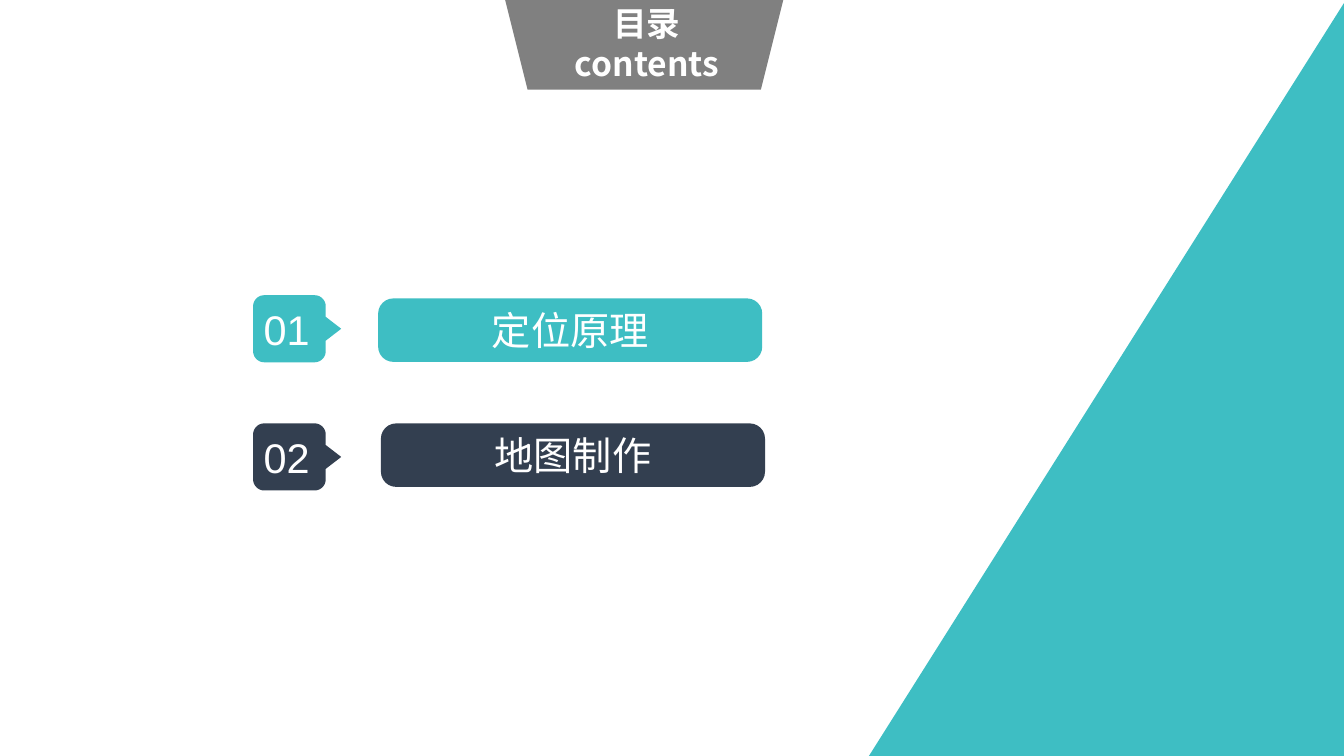
from dataclasses import dataclass
from math import cos, pi, sin

from lxml.etree import SubElement
from pptx import Presentation
from pptx.dml.color import RGBColor as Rgb
from pptx.enum.shapes import MSO_SHAPE as Kind
from pptx.enum.text import MSO_ANCHOR as Anchor, MSO_AUTO_SIZE as Fit, PP_ALIGN as Align
from pptx.oxml.ns import qn
from pptx.shapes.autoshape import Shape
from pptx.shapes.shapetree import SlideShapes as Shapes
from pptx.text.text import TextFrame as Frame
from pptx.util import Cm, Pt


@dataclass(frozen=True)
class Theme:
    teal: Rgb = Rgb(0x3E, 0xBE, 0xC3)
    navy: Rgb = Rgb(0x33, 0x3F, 0x50)
    gray: Rgb = Rgb(0x80, 0x80, 0x80)
    white: Rgb = Rgb(0xFF, 0xFF, 0xFF)
    head: float = 24
    label: float = 28
    number: float = 29.6
    latin: str = "Arial"
    hans: str = "Noto Sans CJK SC"
    hangul: str = "Noto Sans CJK KR"


@dataclass(frozen=True)
class Item:
    number: str
    label: str
    color: Rgb
    tag_top: float
    bar_left: float
    bar_top: float


THEME = Theme()
ITEMS = [
    Item("01", "定位原理", THEME.teal, 7.44, 9.53, 7.52),
    Item("02", "地图制作", THEME.navy, 10.67, 9.6, 10.67),
]
TAG_LEFT, TAG_WIDE, TAG_HIGH = 6.38, 1.83, 1.69
TAG_ROUND, TIP_LONG, TIP_HALF = 0.28, 0.39, 0.3


def paint(shape: Shape, color: Rgb) -> None:
    shape.shadow.inherit = False
    shape.fill.solid()
    shape.fill.fore_color.rgb = color
    shape.line.fill.background()


def write(frame: Frame, text: str, size: float, fonts: list[str], bold: bool = False) -> None:
    """Set centred white text, with one Latin font for each paragraph."""
    frame.text = text
    for para, name in zip(frame.paragraphs, fonts):
        para.alignment = Align.CENTER
        for run in para.runs:
            font = run.font
            font.name, font.size, font.bold = name, Pt(size), bold
            font.color.rgb = THEME.white
            SubElement(run._r.get_or_add_rPr(), qn("a:ea")).set("typeface", THEME.hans)


def inset(frame: Frame, right: float, edge: float) -> None:
    frame.word_wrap = True
    frame.vertical_anchor = Anchor.MIDDLE
    frame.margin_left, frame.margin_right = Cm(0), Cm(right)
    frame.margin_top = frame.margin_bottom = Cm(edge)


def add_preset(shapes: Shapes, kind: Kind, box: tuple[float, ...], color: Rgb) -> Shape:
    shape = shapes.add_shape(kind, *map(Cm, box))
    paint(shape, color)
    return shape


def corner(x: float, y: float, start: int) -> list[tuple[float, float]]:
    """Give the points of a quarter circle around x, y, clockwise from start degrees."""
    turns = [(start + step * 9) * pi / 180 for step in range(11)]
    return [(x + TAG_ROUND * cos(turn), y + TAG_ROUND * sin(turn)) for turn in turns]


def add_tag(shapes: Shapes, item: Item) -> None:
    top, mid = item.tag_top, item.tag_top + TAG_HIGH / 2
    edge = TAG_LEFT + TAG_WIDE
    left, right = TAG_LEFT + TAG_ROUND, edge - TAG_ROUND
    high, low = top + TAG_ROUND, top + TAG_HIGH - TAG_ROUND
    points = [
        *corner(left, high, 180),
        *corner(right, high, 270),
        (edge, mid - TIP_HALF),
        (edge + TIP_LONG, mid),
        (edge, mid + TIP_HALF),
        *corner(right, low, 0),
        *corner(left, low, 90),
    ]
    first, *rest = [(Cm(x), Cm(y)) for x, y in points]
    path = shapes.build_freeform(*first)
    path.add_line_segments(rest, close=True)
    tag = path.convert_to_shape()
    paint(tag, item.color)
    inset(tag.text_frame, 0.53, 0.13)
    write(tag.text_frame, item.number, THEME.number, [THEME.latin])


def add_bar(shapes: Shapes, item: Item) -> None:
    box = (item.bar_left, item.bar_top, 9.68, 1.6)
    bar = add_preset(shapes, Kind.ROUNDED_RECTANGLE, box, item.color)
    bar.adjustments[0] = 0.24
    inset(bar.text_frame, 0, 0)
    write(bar.text_frame, item.label, THEME.label, [THEME.latin])


def add_head(shapes: Shapes) -> None:
    banner = add_preset(shapes, Kind.TRAPEZOID, (12.73, 0, 7.01, 2.26), THEME.gray)
    banner.rotation = 180
    frame = shapes.add_textbox(Cm(13.41), Cm(-0.05), Cm(5.79), Cm(2.31)).text_frame
    frame.word_wrap = True
    frame.auto_size = Fit.SHAPE_TO_FIT_TEXT
    write(frame, "目录\ncontents", THEME.head, [THEME.hans, THEME.hangul], bold=True)


def main() -> None:
    deck = Presentation()
    deck.slide_width, deck.slide_height = Cm(33.87), Cm(19.05)
    shapes = deck.slides.add_slide(deck.slide_layouts[6]).shapes
    add_head(shapes)
    for item in ITEMS:
        add_tag(shapes, item)
        add_bar(shapes, item)
    wedge = add_preset(shapes, Kind.RIGHT_TRIANGLE, (21.9, 0.08, 11.97, 18.97), THEME.teal)
    wedge._element.spPr.get_or_add_xfrm().set("flipH", "1")
    deck.save("out.pptx")


if __name__ == "__main__":
    main()
